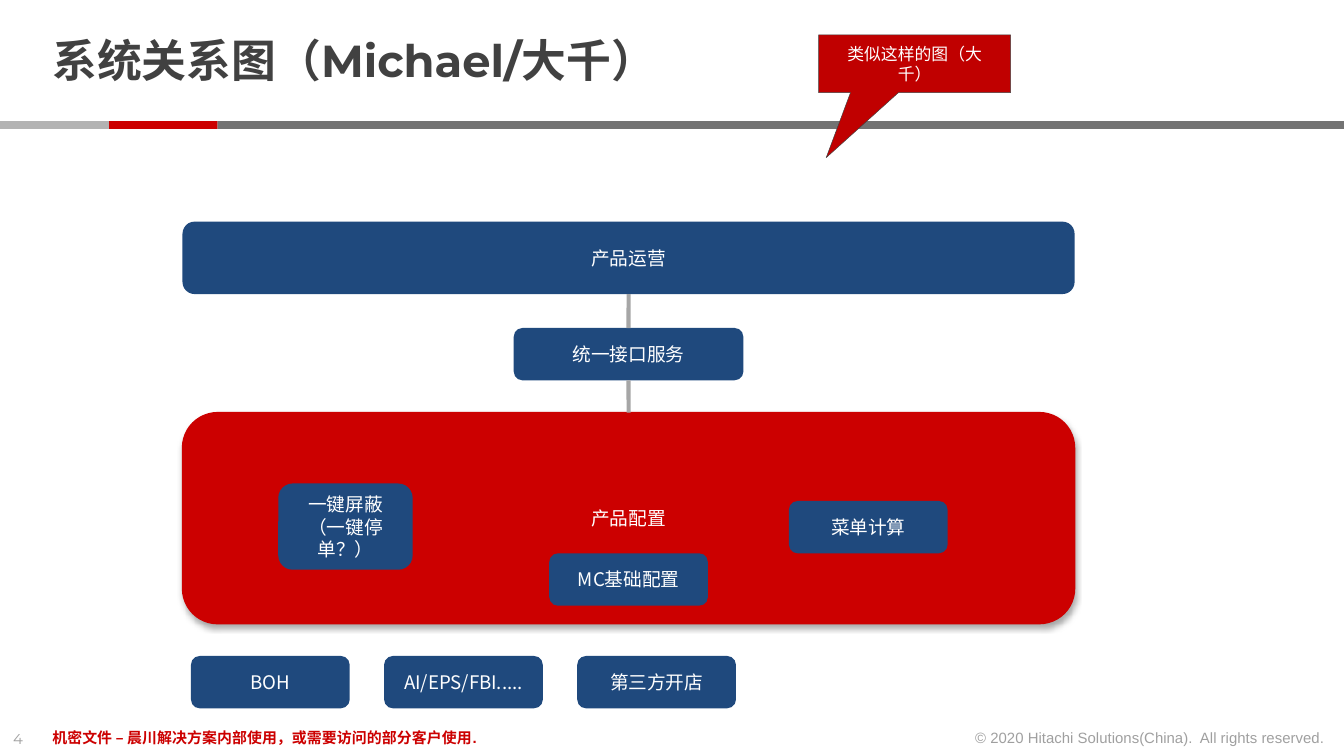
import lxml.etree
import pptx
import pptx.dml.color
import pptx.enum.shapes
import pptx.enum.text
import pptx.oxml.ns
import pptx.util

Cm = pptx.util.Cm
Pt = pptx.util.Pt
RGBColor = pptx.dml.color.RGBColor
Align = pptx.enum.text.PP_ALIGN
Shape = pptx.enum.shapes.MSO_SHAPE
qn = pptx.oxml.ns.qn

RED = RGBColor(0xCC, 0x00, 0x00)
DARK_RED = RGBColor(0xC0, 0x00, 0x00)
NAVY = RGBColor(0x1F, 0x49, 0x7D)
WHITE = RGBColor(0xFF, 0xFF, 0xFF)
CHARCOAL = RGBColor(0x41, 0x41, 0x41)
DARK_GREY = RGBColor(0x73, 0x73, 0x73)
LINE_GREY = RGBColor(0xA6, 0xA6, 0xA6)
LIGHT_GREY = RGBColor(0xB3, 0xB3, 0xB3)

CHINESE_FONT = "Noto Sans CJK SC"
SMALL_WIDTH = 3
BOX_HEIGHT = 0.99
DIAGRAM_LEFT = 3.45
DIAGRAM_WIDTH = 16.86
DIAGRAM_CENTRE = DIAGRAM_LEFT + DIAGRAM_WIDTH / 2


def style_paragraph(para, size, color, name=None, bold=None, opacity=None):
    para.font.size = Pt(size)
    para.font.bold = bold
    para.font.color.rgb = color
    if name:
        para.font.name = name
    properties = para._p.pPr.find(qn("a:defRPr"))
    lxml.etree.SubElement(properties, qn("a:ea"), typeface=CHINESE_FONT)
    if opacity:
        tint = properties.find(".//" + qn("a:srgbClr"))
        lxml.etree.SubElement(tint, qn("a:alpha"), val=str(opacity * 1000))


def add_shape(page, kind, left, top, width, height, fill):
    shape = page.shapes.add_shape(kind, Cm(left), Cm(top), Cm(width), Cm(height))
    shape.shadow.inherit = False
    shape.fill.solid()
    shape.fill.fore_color.rgb = fill
    shape.line.fill.background()
    return shape


def add_box(page, text, left, top, width, height,
            fill=NAVY, kind=Shape.ROUNDED_RECTANGLE, size=10):
    box = add_shape(page, kind, left, top, width, height, fill)
    frame = box.text_frame
    frame.word_wrap = True
    frame.vertical_anchor = pptx.enum.text.MSO_ANCHOR.MIDDLE
    for index, line in enumerate(text.split("\n")):
        para = frame.add_paragraph() if index else frame.paragraphs[0]
        para.text = line
        para.alignment = Align.CENTER
        style_paragraph(para, size, WHITE, CHINESE_FONT)
    return box


def add_outline(box, color, width):
    box.line.color.rgb = color
    box.line.width = Pt(width)


def add_drop_shadow(box):
    effects = box._element.spPr.find(qn("a:effectLst"))
    shadow = lxml.etree.SubElement(
        effects, qn("a:outerShdw"), blurRad=str(Pt(3.1)), dist=str(Pt(1.8)),
        dir="5400000", rotWithShape="0")
    tint = lxml.etree.SubElement(shadow, qn("a:srgbClr"), val="000000")
    lxml.etree.SubElement(tint, qn("a:alpha"), val="35000")


def add_label(page, text, left, top, width, align=Align.LEFT, wrap=False, **style):
    label = page.shapes.add_textbox(Cm(left), Cm(top), Cm(width), Cm(0.61))
    label.text_frame.word_wrap = wrap
    para = label.text_frame.paragraphs[0]
    para.text = text
    para.alignment = align
    style_paragraph(para, 8, **style)


def add_title(page):
    title = page.shapes.add_textbox(Cm(0.74), Cm(0.28), Cm(19.58), Cm(1.85))
    frame = title.text_frame
    frame.word_wrap = True
    frame.vertical_anchor = pptx.enum.text.MSO_ANCHOR.MIDDLE
    frame.margin_top = frame.margin_bottom = 0
    para = frame.paragraphs[0]
    para.line_spacing = 0.85
    style_paragraph(para, 24, CHARCOAL, bold=True)
    for text, name in (("系统关系图", CHINESE_FONT), ("（Michael/大千）", "Montserrat")):
        span = para.add_run()
        span.text = text
        span.font.name = name


def add_link(page, upper, lower):
    link = page.shapes.add_connector(
        pptx.enum.shapes.MSO_CONNECTOR.STRAIGHT, 0, 0, 0, 0)
    link.begin_connect(lower, 0)
    link.end_connect(upper, 2)
    link.line.color.rgb = LINE_GREY
    link.line.width = Pt(2.25)
    lxml.etree.SubElement(link._element.spPr, qn("a:effectLst"))


def add_frame(page):
    for left, width, color in ((4.11, 21.29, DARK_GREY), (2.06, 2.05, RED),
                               (0, 2.06, LIGHT_GREY)):
        add_shape(page, Shape.RECTANGLE, left, 2.29, width, 0.15, color)
    add_label(page, "4", 0, 13.67, 0.86,
              color=CHARCOAL, name="Montserrat", opacity=50)
    add_label(page, "© 2020 Hitachi Solutions(China).  All rights reserved.",
              18.08, 13.64, 7.21, Align.RIGHT,
              color=CHARCOAL, name="Arial", opacity=50)
    add_label(page, "机密文件 – 晨川解决方案内部使用，或需要访问的部分客户使用.",
              0.74, 13.64, 17.12, wrap=True, color=RED, name="Arial", bold=True)


def add_diagram(page):
    configuration = add_box(page, "产品配置", DIAGRAM_LEFT, 7.8,
                            DIAGRAM_WIDTH, 3.99, fill=RED)
    add_outline(configuration, RED, 0.75)
    add_drop_shadow(configuration)
    operations = add_box(page, "产品运营", DIAGRAM_LEFT, 4.19, DIAGRAM_WIDTH, 1.37)
    interface_width = 4.34
    interface = add_box(page, "统一接口服务", DIAGRAM_CENTRE - interface_width / 2,
                        6.2, interface_width, BOX_HEIGHT)
    add_link(page, operations, interface)
    add_link(page, interface, configuration)

    add_box(page, "一键屏蔽\n（一键停单？）", 5.26, 9.14, 2.54, 1.63)
    add_box(page, "MC基础配置", DIAGRAM_CENTRE - SMALL_WIDTH / 2, 10.46,
            SMALL_WIDTH, BOX_HEIGHT)
    add_box(page, "菜单计算", 14.91, 9.47, SMALL_WIDTH, BOX_HEIGHT)
    for index, system in enumerate(("BOH", "AI/EPS/FBI.....", "第三方开店")):
        add_box(page, system, 3.61 + 3.65 * index, 12.4, SMALL_WIDTH, BOX_HEIGHT)


def add_callout(page):
    callout = add_box(page, "类似这样的图（大千）", 15.47, 0.66, 3.63, 1.09,
                      fill=DARK_RED, kind=Shape.RECTANGULAR_CALLOUT, size=9)
    callout.adjustments[0] = -0.46
    callout.adjustments[1] = 1.63
    add_outline(callout, CHARCOAL, 0.25)


def main():
    deck = pptx.Presentation()
    deck.slide_width = Cm(25.4)
    deck.slide_height = Cm(14.29)
    page = deck.slides.add_slide(deck.slide_layouts[6])
    add_frame(page)
    add_title(page)
    add_diagram(page)
    add_callout(page)
    deck.save("out.pptx")


if __name__ == "__main__":
    main()
